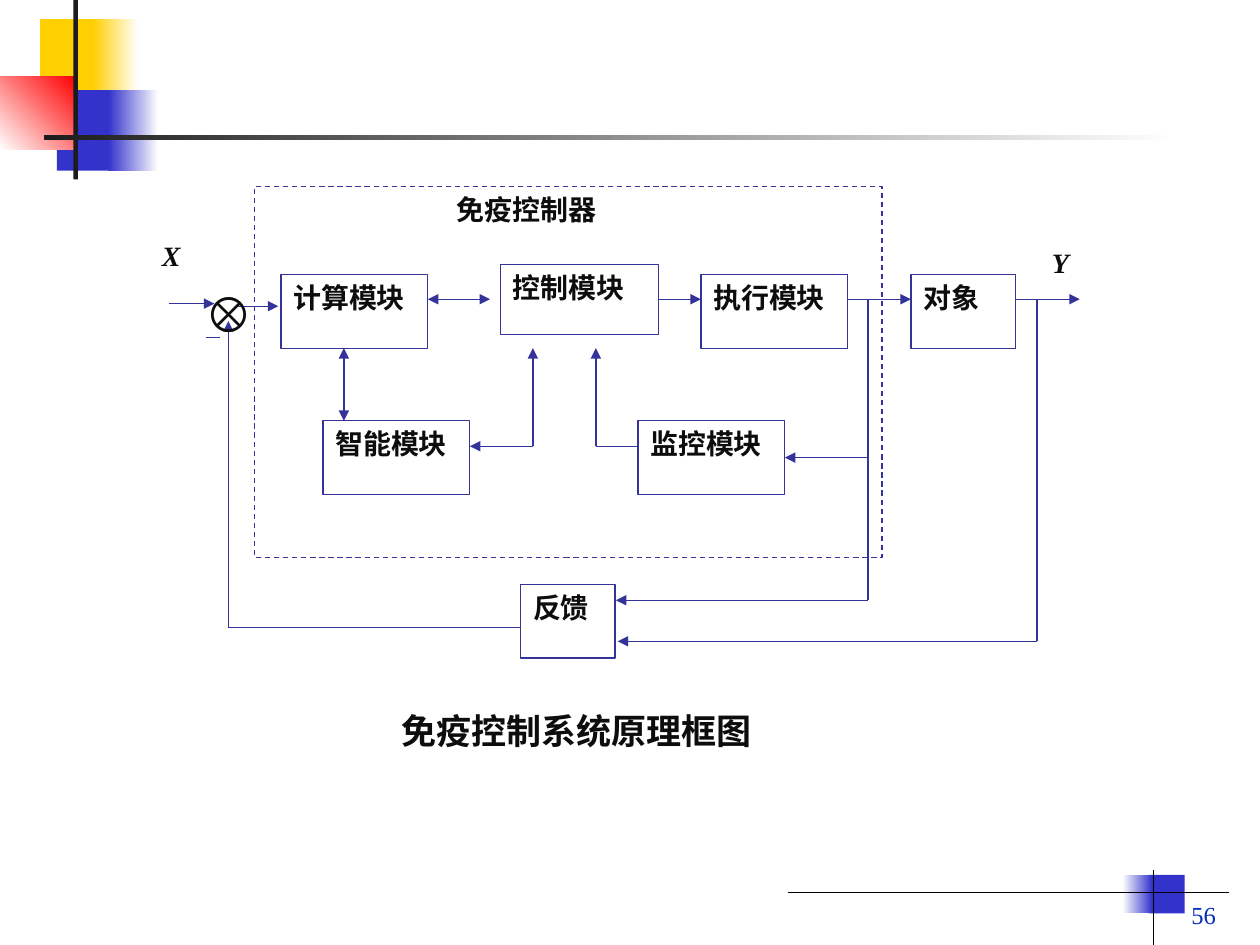
from pptx import Presentation
from pptx.dml.color import RGBColor
from pptx.enum.dml import MSO_LINE
from pptx.enum.shapes import MSO_CONNECTOR, MSO_SHAPE
from pptx.enum.text import MSO_ANCHOR, MSO_AUTO_SIZE, PP_ALIGN
from pptx.oxml.ns import qn
from pptx.util import Pt
from lxml import etree

RECTANGLE = MSO_SHAPE.RECTANGLE
STRAIGHT = MSO_CONNECTOR.STRAIGHT
DASH = MSO_LINE.DASH
TOP, BOTTOM = MSO_ANCHOR.TOP, MSO_ANCHOR.BOTTOM
LEFT, RIGHT, JUSTIFY = PP_ALIGN.LEFT, PP_ALIGN.RIGHT, PP_ALIGN.JUSTIFY

WHITE = RGBColor(0xFF, 0xFF, 0xFF)
BLACK = RGBColor(0x00, 0x00, 0x00)
YELLOW = RGBColor(0xFF, 0xCF, 0x01)
BLUE = RGBColor(0x33, 0x33, 0xCC)
RED = RGBColor(0xFF, 0x00, 0x00)
CHARCOAL = RGBColor(0x1C, 0x1C, 0x1C)
INDIGO = RGBColor(0x33, 0x33, 0x99)
INK = RGBColor(0x0D, 0x0D, 0x0D)
NUMBER_BLUE = RGBColor(0x02, 0x2E, 0xBA)

LABEL = {"name": "Times New Roman", "size": Pt(16), "bold": True}
SIGNAL = {**LABEL, "italic": True}
SUM_SIGN = {"name": "Arial", "size": Pt(28), "bold": True}
CAPTION = {"name": "Noto Sans CJK SC", "size": Pt(20), "bold": True}
PAGE_NUMBER = {"name": "Times New Roman", "size": Pt(14)}


def points(*values):
    return [Pt(value) for value in values]


def write(holder, text, style, color=INK, align=JUSTIFY, anchor=TOP, wrap=True):
    frame = holder.text_frame
    frame.text = text
    frame_format = {
        "word_wrap": wrap,
        "auto_size": MSO_AUTO_SIZE.NONE,
        "vertical_anchor": anchor,
        "margin_left": Pt(7.2),
        "margin_right": Pt(7.2),
        "margin_top": Pt(3.6),
        "margin_bottom": Pt(3.6),
    }
    for key, value in frame_format.items():
        setattr(frame, key, value)
    paragraph = frame.paragraphs[0]
    paragraph.alignment = align
    font = paragraph.runs[0].font
    for key, value in style.items():
        setattr(font, key, value)
    font.color.rgb = color
    return paragraph


def add_text(slide, box, text, style, **options):
    return write(slide.shapes.add_textbox(*points(*box)), text, style, **options)


def add_block(slide, box, colors, angle=0):
    block = slide.shapes.add_shape(RECTANGLE, *points(*box))
    block.shadow.inherit = False
    block.line.fill.background()
    if len(colors) == 1:
        block.fill.solid()
        block.fill.fore_color.rgb = colors[0]
        return
    block.fill.gradient()
    block.fill.gradient_angle = angle
    for stop, color, position in zip(block.fill.gradient_stops, colors, (0, 1)):
        stop.color.rgb = color
        stop.position = position


def add_outline(slide, box, dash=None):
    outline = slide.shapes.add_shape(RECTANGLE, *points(*box))
    outline.shadow.inherit = False
    outline.fill.background()
    outline.line.color.rgb = INDIGO
    outline.line.width = Pt(0.75)
    outline.line.dash_style = dash
    return outline


def add_line(slide, ends, arrows="", color=INDIGO):
    connector = slide.shapes.add_connector(STRAIGHT, *points(*ends))
    connector.line.color.rgb = color
    connector.line.width = Pt(0.75)
    properties = connector._element.spPr
    outline = properties.find(qn("a:ln"))
    for arrow in arrows.split():
        etree.SubElement(outline, qn(f"a:{arrow}"), type="triangle")
    etree.SubElement(properties, qn("a:effectLst"))
    return connector


def corner_ornament(slide, left, top):
    blocks = [
        ((23, 11, 34.5, 46), (YELLOW,), 0),
        ((53, 11, 26, 46), (YELLOW, WHITE), 0),
        ((32.5, 51.5, 33, 46), (BLUE,), 0),
        ((62, 51.5, 28.5, 46), (BLUE, WHITE), 0),
        ((0, 44, 44, 41.5), (WHITE, RED), 45),
        ((42, 0, 2.5, 102.5), (CHARCOAL,), 0),
        ((25, 77, 648, 3), (CHARCOAL, WHITE), 0),
    ]
    for (x, y, width, height), colors, angle in blocks:
        add_block(slide, (left + x, top + y, width, height), colors, angle)


def page_corner(slide, left, top):
    add_block(slide, (left + 206.5, top + 3, 20.5, 22), (BLUE,))
    add_block(slide, (left + 191.5, top + 3, 17, 22), (WHITE, BLUE))
    add_line(slide, (left, top + 13, left + 252, top + 13), color=BLACK)
    add_line(slide, (left + 209, top, left + 209, top + 43), color=BLACK)
    add_text(slide, (left + 102, top, 150, 37.5), "56", PAGE_NUMBER,
             color=NUMBER_BLUE, align=RIGHT, anchor=BOTTOM)


def control_diagram(slide, left, top):
    def shift(x, y, width, height):
        return left + x, top + y, width, height

    def wire(x1, y1, x2, y2, arrows=""):
        return add_line(slide, (left + x1, top + y1, left + x2, top + y2), arrows)

    upper, lower, signal = 51, 134.5, 65
    add_outline(slide, shift(61.5, 0.5, 358.5, 212), DASH)

    modules = {}
    for text, x, y, width, height in [
        ("计算模块", 76.5, upper, 84, 42),
        ("控制模块", 202, 45, 90.5, 40),
        ("执行模块", 316.5, upper, 84, 42),
        ("对象", 436.5, upper, 60, 42),
        ("智能模块", 100.5, lower, 84, 42),
        ("监控模块", 280.5, lower, 84, 42),
        ("反馈", 213.5, 228, 54, 42),
    ]:
        modules[text] = add_outline(slide, shift(x, y, width, height))
        write(modules[text], text, LABEL)

    for ends in [
        (12.5, 67.5, 38.5, 67.5),
        (51.5, 69, 75, 69),
        (400.5, signal, 436.5, signal),
        (496.5, signal, 533, signal),
        (220.5, 149, 184.5, 149),
        (220.5, 149, 220.5, 93),
        (256.5, 149, 256.5, 93),
        (412, 237, 268, 237),
        (508.5, 260.5, 269, 260.5),
        (46.5, 252.5, 46.5, 77.5),
    ]:
        wire(*ends, "tailEnd")
    for ends in [(160.5, signal, 196, signal), (112.5, 93, 112.5, lower)]:
        wire(*ends, "headEnd tailEnd")
    for ends in [
        (256.5, 149, 280.5, 149),
        (412, signal, 412, 237),
        (508.5, signal, 508.5, 260.5),
        (213.5, 252.5, 46.5, 252.5),
        (33.5, 87, 41.5, 87),
    ]:
        wire(*ends)
    drive = wire(292.5, signal, 316.5, signal, "tailEnd")
    drive.begin_connect(modules["控制模块"], 3)
    monitor = wire(412, 155.5, 364.5, 155.5, "tailEnd")
    monitor.end_connect(modules["监控模块"], 3)

    add_text(slide, shift(170, 0.5, 121, 38), "免疫控制器", LABEL)
    add_text(slide, shift(1.5, 26.5, 36, 38), "X", SIGNAL)
    add_text(slide, shift(510, 31, 36, 38), "Y", SIGNAL)
    sum_sign = add_text(slide, shift(26, 38.5, 37, 55), "⊗", SUM_SIGN,
                        align=LEFT, wrap=False)
    sum_sign.line_spacing = 1.4


def caption(slide, left, top, width, height):
    title = slide.shapes.title
    title.left, title.top, title.width, title.height = points(left, top, width, height)
    write(title, "免疫控制系统原理框图", CAPTION, align=LEFT, wrap=False)


def main():
    presentation = Presentation()
    presentation.slide_width, presentation.slide_height = points(720, 540)
    slide = presentation.slides.add_slide(presentation.slide_layouts[5])
    corner_ornament(slide, 0, 0)
    page_corner(slide, 450, 497)
    control_diagram(slide, 84, 106)
    caption(slide, 222, 402, 219, 32)
    presentation.save("out.pptx")


if __name__ == "__main__":
    main()
